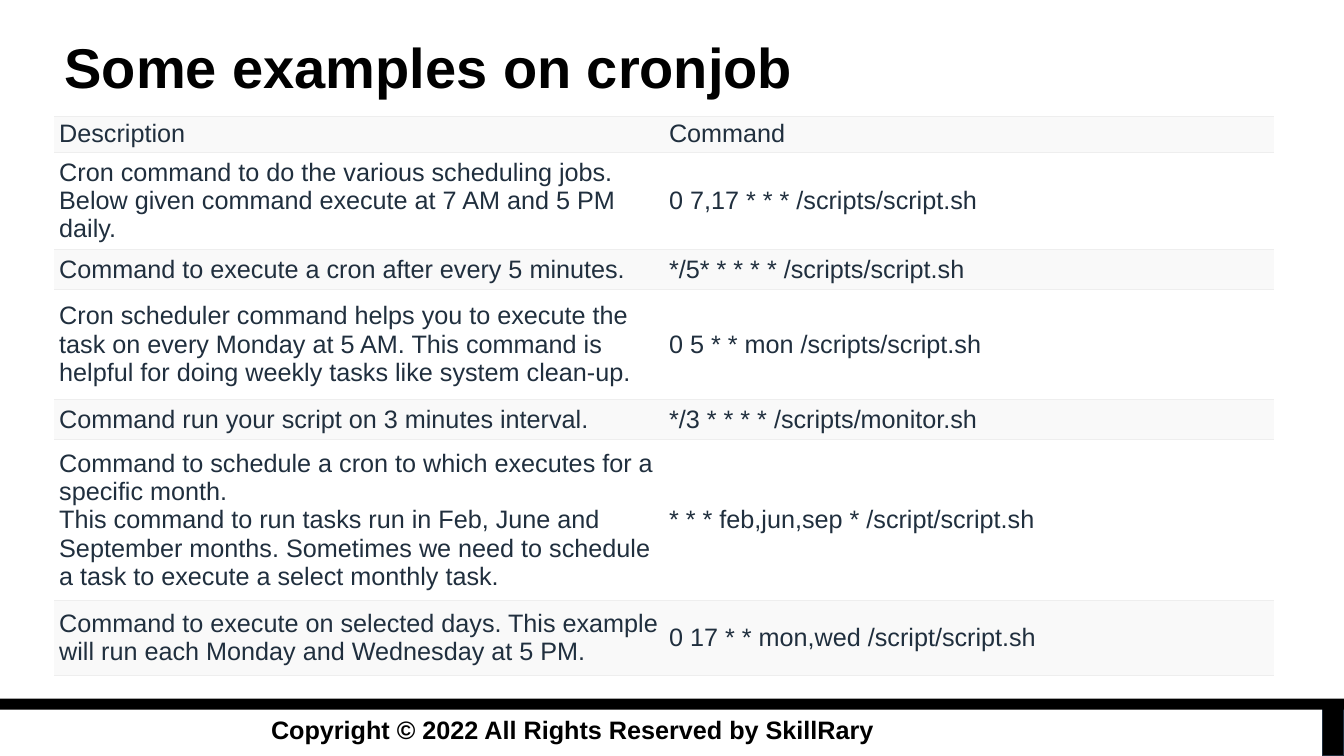
from lxml.etree import SubElement
from pptx import Presentation
from pptx.dml.color import RGBColor
from pptx.enum.shapes import MSO_SHAPE
from pptx.enum.text import MSO_ANCHOR, PP_ALIGN
from pptx.oxml import parse_xml
from pptx.oxml.ns import nsdecls, qn
from pptx.util import Pt

COLORS = {
    "black": "000000",
    "ink": "202F3E",
    "stripe": "F9F9F9",
    "plain": "FFFFFF",
    "rule": "EEEEEE",
}

# Row height, description, command
ROWS = [
    (17, "Description", "Command"),
    (65.5, "Cron command to do the various scheduling jobs.\n"
     "Below given command execute at 7 AM and 5 PM daily.",
     "0 7,17 * * * /scripts/script.sh"),
    (29, "Command to execute a cron after every 5 minutes.",
     "*/5* * * * * /scripts/script.sh"),
    (78, "Cron scheduler command helps you to execute the task on every Monday "
     "at 5 AM. This command is helpful for doing weekly tasks like system clean-up.",
     "0 5 * * mon /scripts/script.sh"),
    (29, "Command run your script on 3 minutes interval.",
     "*/3 * * * * /scripts/monitor.sh"),
    (115, "Command to schedule a cron to which executes for a specific month.\n"
     "This command to run tasks run in Feb, June and September months. "
     "Sometimes we need to schedule a task to execute a select monthly task.",
     "* * * feb,jun,sep * /script/script.sh"),
    (53.5, "Command to execute on selected days. This example will run each "
     "Monday and Wednesday at 5 PM.",
     "0 17 * * mon,wed /script/script.sh"),
]


def rgb(name):
    return RGBColor.from_string(COLORS[name])


def write(tf, text, size=18, color="black", bold=False, spacing=None):
    p = tf.paragraphs[0]
    p.text = text
    p.alignment = PP_ALIGN.LEFT
    if spacing:
        p.line_spacing = spacing
    for r in p.runs:
        r.font.name = "Arial"
        r.font.size = Pt(size)
        r.font.bold = bold
        r.font.color.rgb = rgb(color)


def add_bar(s, left, top, width, height, line=None):
    sp = s.shapes.add_shape(MSO_SHAPE.RECTANGLE, Pt(left), Pt(top), Pt(width), Pt(height))
    sp.shadow.inherit = False
    sp.fill.solid()
    sp.fill.fore_color.rgb = rgb("black")
    if line:
        sp.line.color.rgb = rgb(line)
        sp.line.width = Pt(0.75)
    else:
        sp.line.fill.background()


def add_footer(s):
    add_bar(s, 944.5, 499.5, 15.5, 40.5, line="ink")
    tf = s.shapes.add_textbox(Pt(186.5), Pt(507), Pt(571.5), Pt(29)).text_frame
    tf.word_wrap = True
    write(tf, "Copyright © 2022 All Rights Reserved by SkillRary", bold=True)
    add_bar(s, 0, 499, 960, 8)


def set_title(s, text):
    sp = s.shapes.title
    sp.left, sp.top, sp.width, sp.height = Pt(39), Pt(10), Pt(855.5), Pt(80)
    sp.text_frame.vertical_anchor = MSO_ANCHOR.MIDDLE
    write(sp.text_frame, text, size=40, bold=True, spacing=0.9)


def set_borders(cell):
    tcPr = cell._tc.get_or_add_tcPr()
    for i, side in enumerate(("lnL", "lnR", "lnT", "lnB")):
        ln = parse_xml(f'<a:{side} {nsdecls("a")} w="{Pt(0.6)}"/>')
        if side in ("lnT", "lnB"):
            fill = SubElement(ln, qn("a:solidFill"))
            SubElement(fill, qn("a:srgbClr"), val=COLORS["rule"])
        else:
            SubElement(ln, qn("a:noFill"))
        tcPr.insert(i, ln)


def fill_cell(cell, text, fill):
    cell.margin_left = cell.margin_right = Pt(3.6)
    cell.margin_top = cell.margin_bottom = Pt(2.2)
    cell.vertical_anchor = MSO_ANCHOR.MIDDLE
    cell.fill.solid()
    cell.fill.fore_color.rgb = rgb(fill)
    set_borders(cell)
    write(cell.text_frame, text, color="ink")


def add_cron_table(s):
    height = sum(row[0] for row in ROWS)
    table = s.shapes.add_table(len(ROWS), 2, Pt(38.7), Pt(82.8), Pt(871.2), Pt(height)).table
    table.first_row = table.horz_banding = False
    for i, (row_height, *texts) in enumerate(ROWS):
        table.rows[i].height = Pt(row_height)
        for j, text in enumerate(texts):
            fill_cell(table.cell(i, j), text, "plain" if i % 2 else "stripe")


def main():
    prs = Presentation()
    prs.slide_width, prs.slide_height = Pt(960), Pt(540)
    s = prs.slides.add_slide(prs.slide_layouts[5])
    add_footer(s)
    set_title(s, "Some examples on cronjob")
    add_cron_table(s)
    prs.save("out.pptx")


if __name__ == "__main__":
    main()
